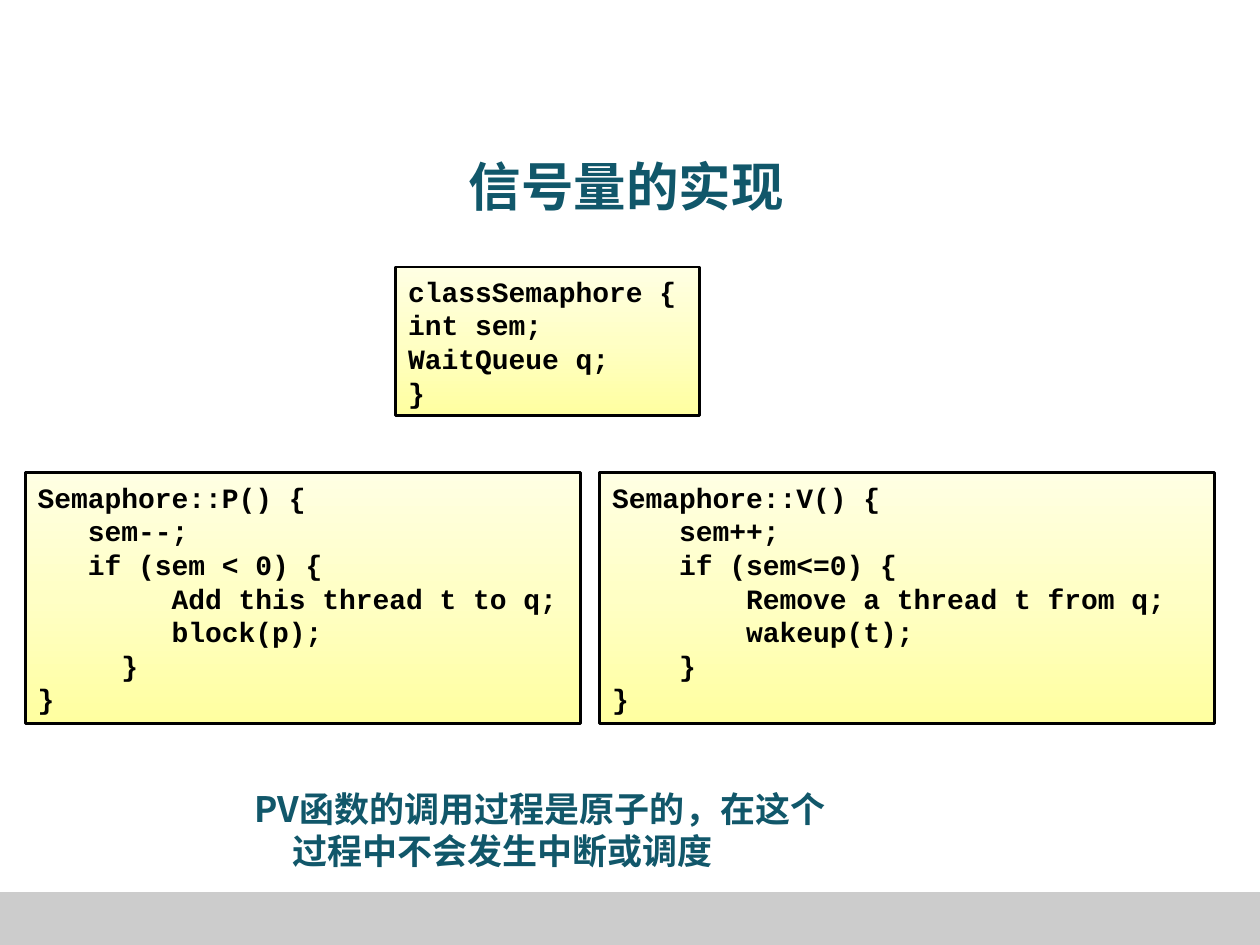
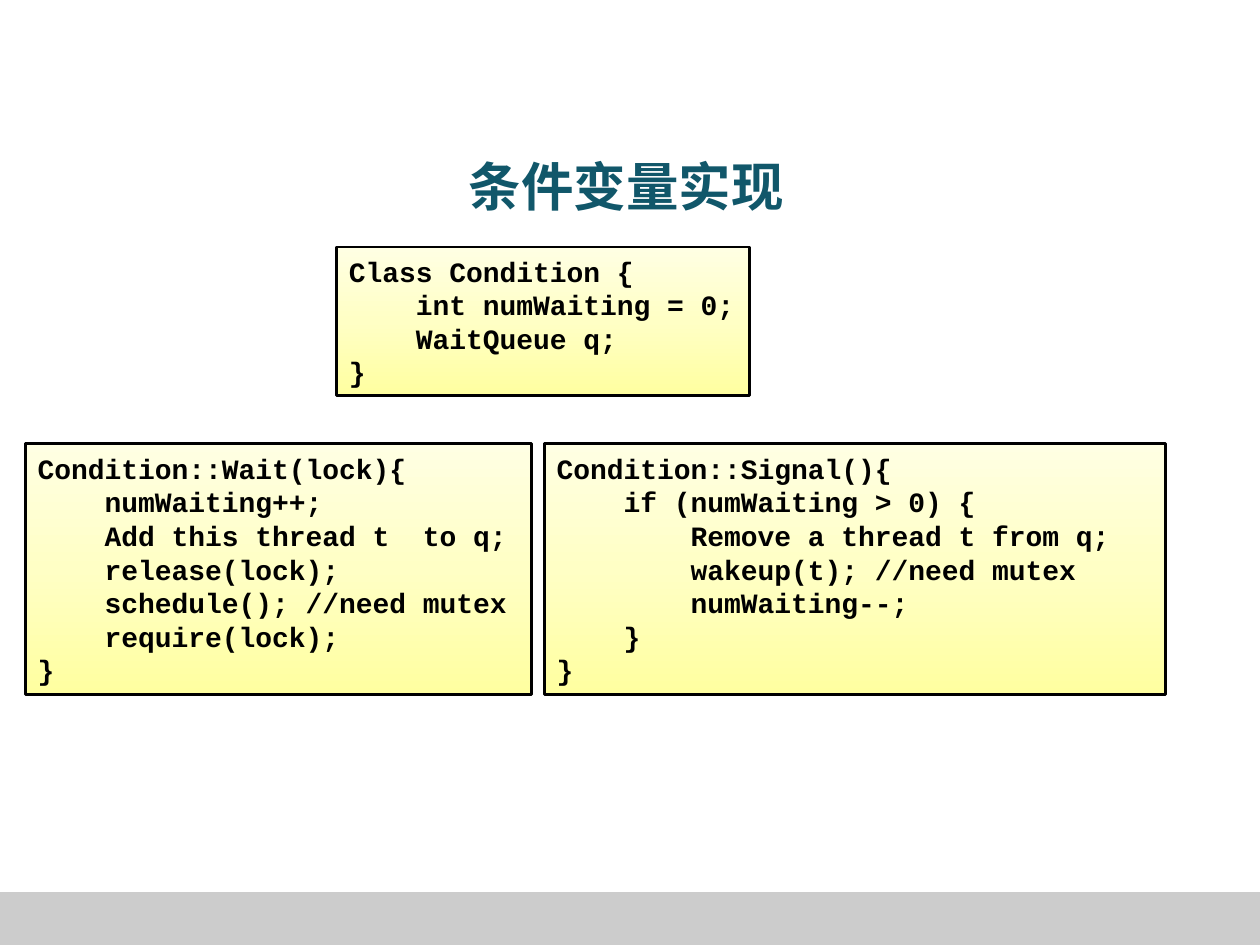
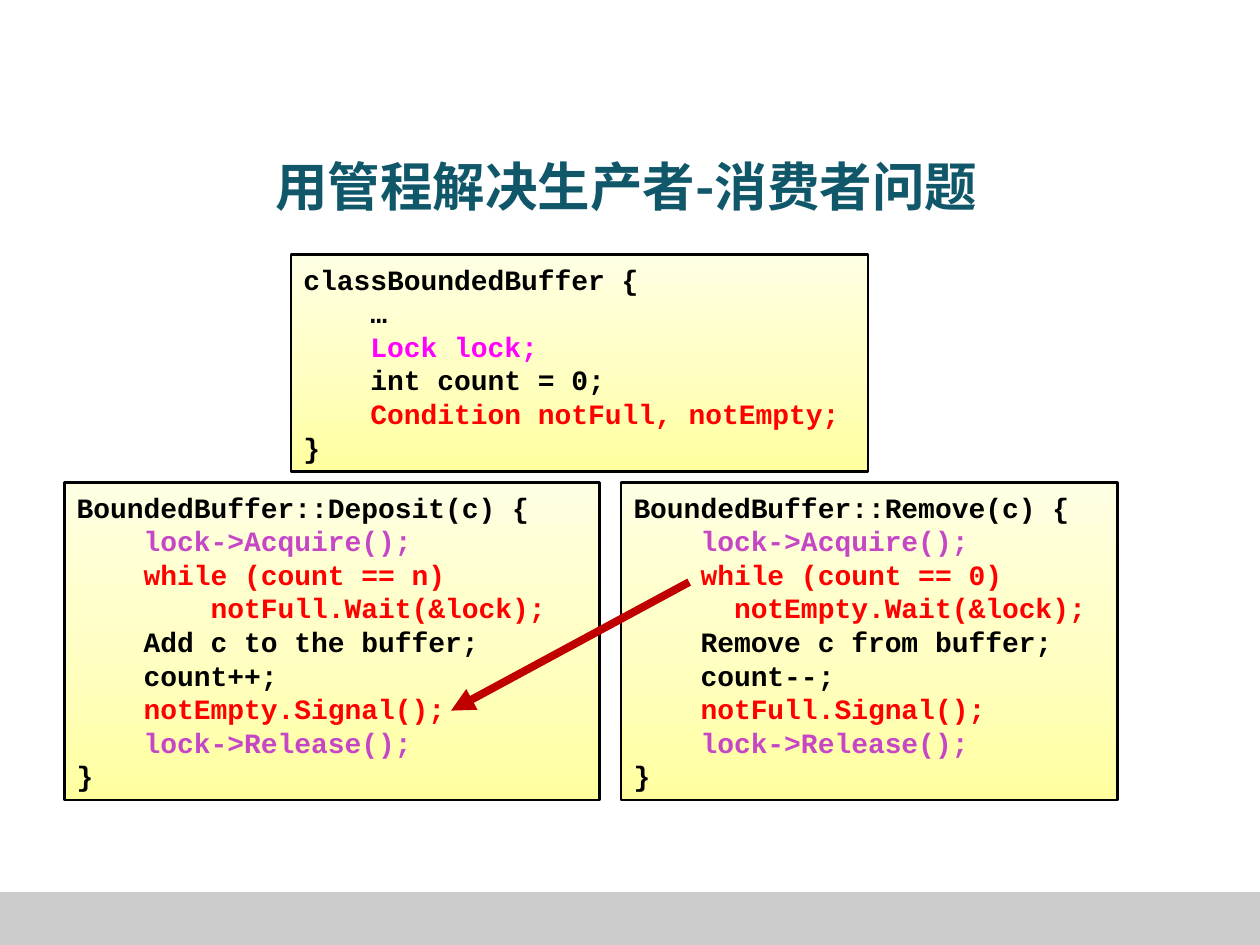
from copy import deepcopy

from pptx import Presentation
from pptx import util as u
from pptx.dml import color
from pptx.enum import shapes, text
from pptx.oxml import parse_xml
from pptx.oxml.ns import nsdecls, qn

CJK, MONO = "Noto Sans CJK SC", "Courier New"
TEAL, BLACK, RED, PINK, PURPLE = "11576A", "000000", "FF0000", "FF00FF", "C647C6"
BAND, ARROW = "CCCCCC", "C00000"
GRADIENT = [(0, "FFFFA0"), (0.5, "FFFFC5"), (1, "FFFFE3")]
TITLE_AT = (0.47, 1.19, 9, 0.56)
BAND_AT = (0, 7.08, 10, 0.42)
LINE_HEIGHT = 1.2

SLIDES = [
    {
        "title": "信号量的实现",
        "code": [
            ((0.2, 3.75, 4.41, 1.99), [
                "Semaphore::P() {",
                "   sem--;",
                "   if (sem < 0) {",
                "        Add this thread t to q;",
                "        block(p);",
                "     }",
                "}",
            ]),
            ((4.76, 3.75, 4.88, 1.99), [
                "Semaphore::V() {",
                "    sem++;",
                "    if (sem<=0) {",
                "        Remove a thread t from q;",
                "        wakeup(t);",
                "    }",
                "}",
            ]),
            ((3.14, 2.12, 2.41, 1.18), [
                "classSemaphore {",
                "int sem;",
                "WaitQueue q;",
                "}",
            ]),
        ],
        "caption": ((1.92, 6.2, 4.81, 0.39),
                    "PV函数的调用过程是原子的，在这个过程中不会发生中断或调度"),
    },
    {
        "title": "条件变量实现",
        "code": [
            ((0.2, 3.52, 4.02, 1.99), [
                "Condition::Wait(lock){",
                "    numWaiting++;",
                "    Add this thread t  to q;",
                "    release(lock);",
                "    schedule(); //need mutex",
                "    require(lock);",
                "}",
            ]),
            ((4.32, 3.52, 4.93, 1.99), [
                "Condition::Signal(){",
                "    if (numWaiting > 0) {",
                "        Remove a thread t from q;",
                "        wakeup(t); //need mutex",
                "        numWaiting--;",
                "    }",
                "}",
            ]),
            ((2.67, 1.96, 3.28, 1.18), [
                "Class Condition {",
                "    int numWaiting = 0;",
                "    WaitQueue q;",
                "}",
            ]),
        ],
    },
    {
        "title": "用管程解决生产者-消费者问题",
        "code": [
            ((0.51, 3.83, 4.25, 2.52), [
                "BoundedBuffer::Deposit(c) {",
                ("    lock->Acquire();", PURPLE),
                ("    while (count == n)", RED),
                ("        notFull.Wait(&lock);", RED),
                "    Add c to the buffer;",
                "    count++;",
                ("    notEmpty.Signal();", RED),
                ("    lock->Release();", PURPLE),
                "}",
            ]),
            ((4.93, 3.83, 3.94, 2.52), [
                "BoundedBuffer::Remove(c) {",
                ("    lock->Acquire();", PURPLE),
                ("    while (count == 0)", RED),
                ("      notEmpty.Wait(&lock);", RED),
                "    Remove c from buffer;",
                "    count--;",
                ("    notFull.Signal();", RED),
                ("    lock->Release();", PURPLE),
                "}",
            ]),
            ((2.31, 2.02, 4.58, 1.72), [
                "classBoundedBuffer {",
                "    …",
                ("    Lock lock;", PINK),
                "    int count = 0;",
                ("    Condition notFull, notEmpty;", RED),
                "}",
            ]),
        ],
        "arrow": (5.47, 4.62, 3.58, 5.64),
    },
]


def rgb(value):
    return color.RGBColor.from_string(value)


def inches(values):
    return [u.Inches(v) for v in values]


def set_all(obj, values):
    for name, value in values.items():
        setattr(obj, name, value)


def add_run(p, content, face, size, ink):
    r = p.add_run()
    r.text = content
    set_all(r.font, {"name": face, "size": u.Pt(size), "bold": True})
    r.font.color.rgb = rgb(ink)
    ea = parse_xml(f'<a:ea {nsdecls("a")} typeface="{face}"/>')
    r.font._element.find(qn("a:latin")).addnext(ea)


def add_rect(s, at):
    sp = s.shapes.add_shape(shapes.MSO_SHAPE.RECTANGLE, *inches(at))
    sp.shadow.inherit = False
    return sp


def add_band(s, master):
    sp = add_rect(s, BAND_AT)
    sp.fill.solid()
    sp.fill.fore_color.rgb = rgb(BAND)
    sp.line.fill.background()
    master.shapes.element.insert(2, sp.element)


def add_title(s, content):
    sp = s.shapes.title
    set_all(sp, dict(zip(("left", "top", "width", "height"), inches(TITLE_AT))))
    tf = sp.text_frame
    set_all(tf, {"margin_top": 0, "margin_bottom": 0, "word_wrap": True,
                 "auto_size": text.MSO_AUTO_SIZE.NONE,
                 "vertical_anchor": text.MSO_ANCHOR.MIDDLE})
    p = tf.paragraphs[0]
    p.alignment = text.PP_ALIGN.CENTER
    add_run(p, content, CJK, 30, TEAL)


def fill_gradient(sp):
    sp.fill.gradient()
    sp.fill.gradient_angle = 90
    first = sp.element.spPr.find(".//" + qn("a:gs"))
    first.addnext(deepcopy(first))
    for stop, (position, value) in zip(sp.fill.gradient_stops, GRADIENT):
        stop.position = position
        stop.color.rgb = rgb(value)


def add_code(s, at, lines):
    sp = add_rect(s, at)
    fill_gradient(sp)
    sp.line.color.rgb = rgb(BLACK)
    sp.line.width = u.Pt(1.5)
    tf = sp.text_frame
    set_all(tf, {"word_wrap": True, "vertical_anchor": text.MSO_ANCHOR.MIDDLE})
    for i, line in enumerate(lines):
        content, ink = (line, BLACK) if isinstance(line, str) else line
        p = tf.add_paragraph() if i else tf.paragraphs[0]
        set_all(p, {"alignment": text.PP_ALIGN.LEFT,
                    "line_spacing": u.Pt(16 * LINE_HEIGHT)})
        add_run(p, content, MONO, 16, ink)


def add_caption(s, at, content):
    tf = s.shapes.add_textbox(*inches(at)).text_frame
    tf.word_wrap = True
    p = tf.paragraphs[0]
    p.line_spacing = u.Pt(20 * LINE_HEIGHT)
    pPr = p._p.get_or_add_pPr()
    pPr.set("marL", str(u.Inches(0.3)))
    pPr.set("indent", str(u.Inches(-0.3)))
    add_run(p, content, CJK, 20, TEAL)


def add_arrow(s, ends):
    line = s.shapes.add_connector(shapes.MSO_CONNECTOR.STRAIGHT, *inches(ends))
    line.line.color.rgb = rgb(ARROW)
    line.line.width = u.Pt(4.5)
    line.line._get_or_add_ln().append(
        parse_xml(f'<a:tailEnd {nsdecls("a")} type="triangle"/>'))
    line.element.spPr.append(parse_xml(f'<a:effectLst {nsdecls("a")}/>'))


def main():
    prs = Presentation()
    set_all(prs, {"slide_width": u.Inches(10), "slide_height": u.Inches(7.5)})
    for i, content in enumerate(SLIDES):
        s = prs.slides.add_slide(prs.slide_layouts[5])
        if i == 0:
            add_band(s, prs.slide_master)
        add_title(s, content["title"])
        for at, lines in content["code"]:
            add_code(s, at, lines)
        if "caption" in content:
            add_caption(s, *content["caption"])
        if "arrow" in content:
            add_arrow(s, content["arrow"])
    prs.save("out.pptx")


if __name__ == "__main__":
    main()
